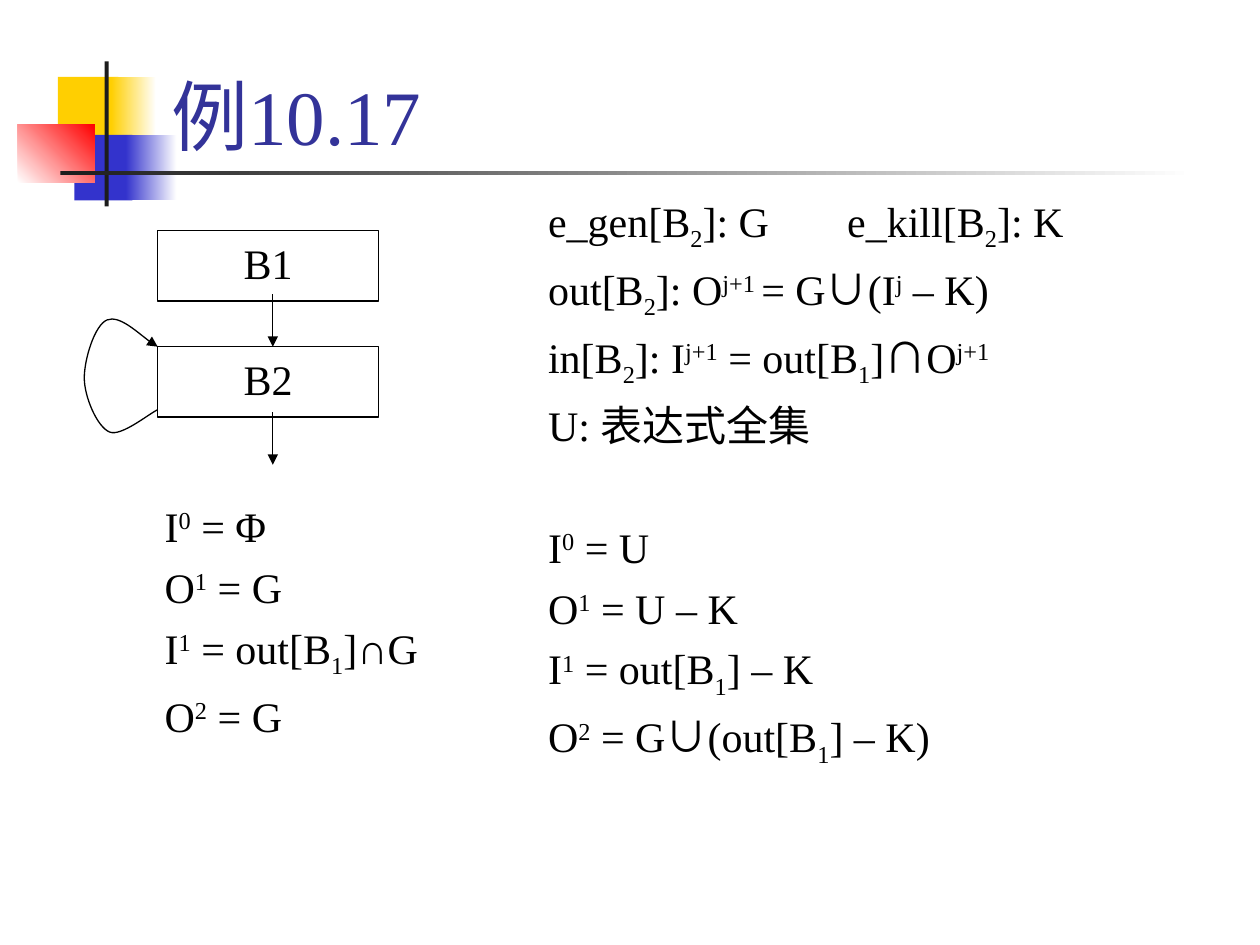
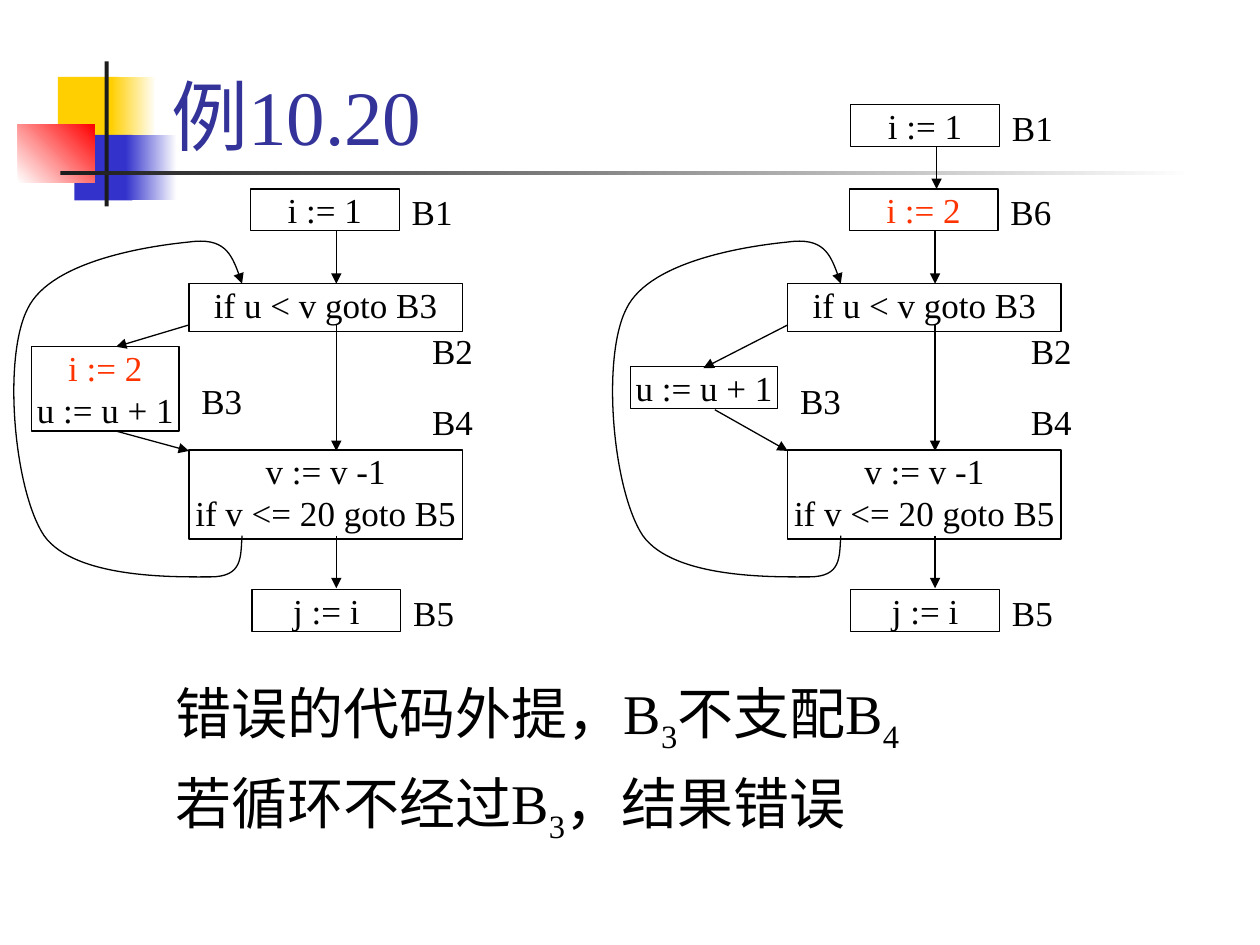
import pptx
import pptx.util
import pptx.dml.color
import pptx.enum.shapes
import pptx.enum.text
import pptx.oxml.ns
from lxml import etree

Cm = pptx.util.Cm
Pt = pptx.util.Pt
qn = pptx.oxml.ns.qn
ALIGN = pptx.enum.text.PP_ALIGN
ANCHOR = pptx.enum.text.MSO_ANCHOR

INK, WHITE, TITLE, RED = "000000", "FFFFFF", "333399", "FF3300"
YELLOW, BLUE, CORNER, BAR = "FFCF01", "3333CC", "FF0000", "1C1C1C"
LATIN, CJK = "Times New Roman", "Noto Sans CJK SC"
BASELINES = {"^": "30000", "~": "-25000"}
INSET = (0.25, 0.13)
HANG = 0.95
TABS = (2.54, 5.08, 7.62)


def rgb(value):
    return pptx.dml.color.RGBColor.from_string(value)


def assign(obj, values):
    for name, value in values.items():
        setattr(obj, name, value)


def add_run(p, token, size, color):
    mark = token[0] if token[0] in "^~!" else ""
    r = p.add_run()
    r.text = token[len(mark):]
    font = CJK if token in ("∪", "∩") else LATIN
    assign(r.font, {"size": Pt(size), "name": font})
    r.font.color.rgb = rgb(RED if mark == "!" else color)
    rPr = r._r.get_or_add_rPr()
    if mark in BASELINES:
        rPr.set("baseline", BASELINES[mark])
    etree.SubElement(rPr, qn("a:ea")).set("typeface", CJK)


def add_hanging_tabs(p):
    pPr = p._p.get_or_add_pPr()
    pPr.set("marL", str(Cm(HANG)))
    pPr.set("indent", str(-Cm(HANG)))
    tabs = etree.SubElement(pPr, qn("a:tabLst"))
    for pos in TABS:
        tab = etree.SubElement(tabs, qn("a:tab"))
        tab.set("pos", str(Cm(pos)))
        tab.set("algn", "l")


def write(tf, lines, size, color=INK, inset=INSET, align=ALIGN.LEFT,
          anchor=ANCHOR.TOP, gap=0, gaps=None, spacing=None, hanging=False):
    across, down = (Cm(v) for v in inset)
    assign(tf, {"word_wrap": True, "vertical_anchor": anchor,
                "margin_left": across, "margin_right": across,
                "margin_top": down, "margin_bottom": down})
    for i, line in enumerate(lines):
        p = tf.add_paragraph() if i else tf.paragraphs[0]
        if hanging:
            add_hanging_tabs(p)
        p.alignment = align
        if spacing:
            p.line_spacing = spacing
        if i and gap:
            p.space_before = Pt((gaps or {}).get(i, gap))
        for token in line.split("|"):
            add_run(p, token, size, color)


def add_text(s, box, lines, size, **style):
    sp = s.shapes.add_textbox(*(Cm(v) for v in box))
    write(sp.text_frame, lines, size, **style)


def add_rect(s, box):
    sp = s.shapes.add_shape(pptx.enum.shapes.MSO_SHAPE.RECTANGLE,
                            *(Cm(v) for v in box))
    sp.shadow.inherit = False
    return sp


def set_line(shape, arrow=False):
    shape.line.color.rgb = rgb(INK)
    shape.line.width = Pt(0.75)
    if arrow:
        ln = shape.line._get_or_add_ln()
        etree.SubElement(ln, qn("a:tailEnd")).set("type", "triangle")


def add_block(s, box, lines, size, inset):
    sp = add_rect(s, box)
    sp.fill.background()
    set_line(sp)
    write(sp.text_frame, lines, size, inset=inset, align=ALIGN.CENTER)


def add_arrow(s, x1, y1, x2, y2):
    cn = s.shapes.add_connector(pptx.enum.shapes.MSO_CONNECTOR.STRAIGHT,
                                Cm(x1), Cm(y1), Cm(x2), Cm(y2))
    set_line(cn, arrow=True)
    etree.SubElement(cn._element.spPr, qn("a:effectLst"))


def add_curve(s, x, y, points):
    pts = [(Cm(x + dx), Cm(y + dy)) for dx, dy in points]
    fb = s.shapes.build_freeform(*pts[0])
    fb.add_line_segments(pts[1:], close=False)
    sp = fb.convert_to_shape()
    outline = next(sp._element.iter(qn("a:path")))
    segments = outline.findall(qn("a:lnTo"))
    for i in range(0, len(segments), 3):
        bezier = etree.SubElement(outline, qn("a:cubicBezTo"))
        for segment in segments[i:i + 3]:
            bezier.append(segment[0])
            outline.remove(segment)
    sp.shadow.inherit = False
    sp.fill.background()
    set_line(sp, arrow=True)


def decoration(s, x, y):
    parts = [
        (0.81, 0.31, 1.22, 1.32, (YELLOW,), 0),
        (1.88, 0.31, 0.91, 1.32, (YELLOW, WHITE), 0),
        (1.14, 1.48, 1.17, 1.32, (BLUE,), 0),
        (2.18, 1.48, 1.02, 1.32, (BLUE, WHITE), 0),
        (0, 1.27, 1.55, 1.17, (WHITE, CORNER), 45),
        (1.75, 0, 0.08, 2.92, (BAR,), 0),
        (0.86, 2.21, 22.86, 0.08, (BAR, WHITE), 0),
    ]
    for dx, dy, w, h, colors, angle in parts:
        sp = add_rect(s, (x + dx, y + dy, w, h))
        sp.line.fill.background()
        if len(colors) == 1:
            sp.fill.solid()
            sp.fill.fore_color.rgb = rgb(colors[0])
        else:
            sp.fill.gradient()
            sp.fill.gradient_angle = angle
            for stop, color in zip(sp.fill.gradient_stops, colors):
                stop.color.rgb = rgb(color)


def new_slide(prs, title):
    s = prs.slides.add_slide(prs.slide_layouts[6])
    decoration(s, 0.36, 1.24)
    add_text(s, (3.2, 0.2, 21.64, 3.18), [title], 44, color=TITLE,
             anchor=ANCHOR.BOTTOM)
    return s


def self_loop_graph(s, x, y):
    for dy, name in ((0, "B1"), (2.34, "B2")):
        add_block(s, (x + 1.48, y + dy, 4.45, 1.42), [name], 24, INSET)
    for dy in (1.28, 3.66):
        add_arrow(s, x + 3.8, y + dy, x + 3.8, y + dy + 1.06)
    add_curve(s, x, y, [
        (1.48, 3.61), (1.32, 3.68), (0.74, 4.16), (0.51, 4.06),
        (0.26, 3.96), (0, 3.35), (0, 2.97),
        (0, 2.59), (0.21, 1.9), (0.46, 1.8),
        (0.71, 1.7), (1.27, 2.23), (1.48, 2.34)])


def add_label(s, x, y, name):
    add_text(s, (x, y, 1.47, 1.12), [name], 20, spacing=0.9)


def entry_block(s, x, y, code, name, drop):
    add_block(s, (x, y, 3, 0.84), [code], 20, (0, 0))
    add_label(s, x + 3, y, name)
    add_arrow(s, x + 1.73, y + 0.84, x + 1.73, y + 0.84 + drop)


def loop_graph(s, x, y, entry, entry_name, b3):
    b3_top, b3_height, b3_lines, into_b3, out_of_b3 = b3
    entry_block(s, x + 5, y, entry, entry_name, 1.07)
    blocks = [
        (3.76, 1.91, 5.51, 0.97, ["if u < v goto B3"]),
        (3.76, 5.26, 5.51, 1.8, ["v := v -1", "if v <= 20 goto B5"]),
        (5.03, 8.08, 3, 0.84, ["j := i"]),
        (0.59, b3_top, 2.97, b3_height, b3_lines),
    ]
    for dx, dy, w, h, lines in blocks:
        add_block(s, (x + dx, y + dy, w, h), lines, 20, (0, 0))
    for dx, dy, name in ((8.41, 2.79, "B2"), (8.41, 4.24, "B4"),
                         (8.03, 8.08, "B5"), (3.76, 3.81, "B3")):
        add_label(s, x + dx, y + dy, name)
    for x1, y1, x2, y2 in ((6.73, 2.74, 6.73, 5.28), (6.73, 6.99, 6.73, 8.05),
                           (3.76, 2.74, *into_b3), (*out_of_b3, 3.76, 5.28)):
        add_arrow(s, x + x1, y + y1, x + x2, y + y2)
    add_curve(s, x, y, [
        (4.83, 6.99), (4.8, 7.42), (4.85, 7.82), (4.19, 7.82),
        (3.53, 7.82), (1.47, 7.87), (0.84, 6.99),
        (0.23, 6.07), (0, 3.4), (0.51, 2.41),
        (0.99, 1.42), (3.05, 1.14), (3.76, 1.07),
        (4.47, 0.97), (4.67, 1.4), (4.83, 1.91)])


def available_expressions_slide(prs):
    s = new_slide(prs, "例10.17")
    add_text(s, (10.8, 3.81, 14.07, 13.13), [
        "e_gen[B|~2|]: G\t\te_kill[B|~2|]: K",
        "out[B|~2|]: O|^j+1 |= G|∪|(I|^j| – K)",
        "in[B|~2|]: I|^j+1| = out[B|~1|]|∩|O|^j+1",
        "U: 表达式全集",
        "I|^0| = U",
        "O|^1| = U – K",
        "I|^1| = out[B|~1|] – K",
        "O|^2| = G|∪|(out[B|~1|] – K)",
    ], 24, gap=6, gaps={4: 41}, hanging=True)
    self_loop_graph(s, 1.7, 4.65)
    add_text(s, (3.07, 9.96, 8.99, 5.72), [
        "I|^0| = Φ",
        "O|^1| = G",
        "I|^1| = out[B|~1|]∩G",
        "O|^2| = G",
    ], 24, gap=6, hanging=True)


def code_motion_slide(prs):
    s = new_slide(prs, "例10.20")
    add_text(s, (3.28, 13.54, 21.59, 4.01), [
        "错误的代码外提，B|~3|不支配B|~4",
        "若循环不经过B|~3|，结果错误",
    ], 32, gap=8, hanging=True)
    loop_graph(s, 0.05, 3.81, "i := 1", "B1",
               (3.18, 1.7, ["!i := 2", "u := u + 1"],
                (2.29, 3.18), (2.29, 4.88)))
    loop_graph(s, 12.12, 3.81, "!i := 2", "B6",
               (3.58, 0.84, ["u := u + 1"], (2.06, 3.61), (2.29, 4.45)))
    entry_block(s, 17.15, 2.11, "i := 1", "B1", 0.86)


def main():
    prs = pptx.Presentation()
    assign(prs, {"slide_width": Cm(25.4), "slide_height": Cm(19.05)})
    available_expressions_slide(prs)
    code_motion_slide(prs)
    prs.save("out.pptx")


if __name__ == "__main__":
    main()
